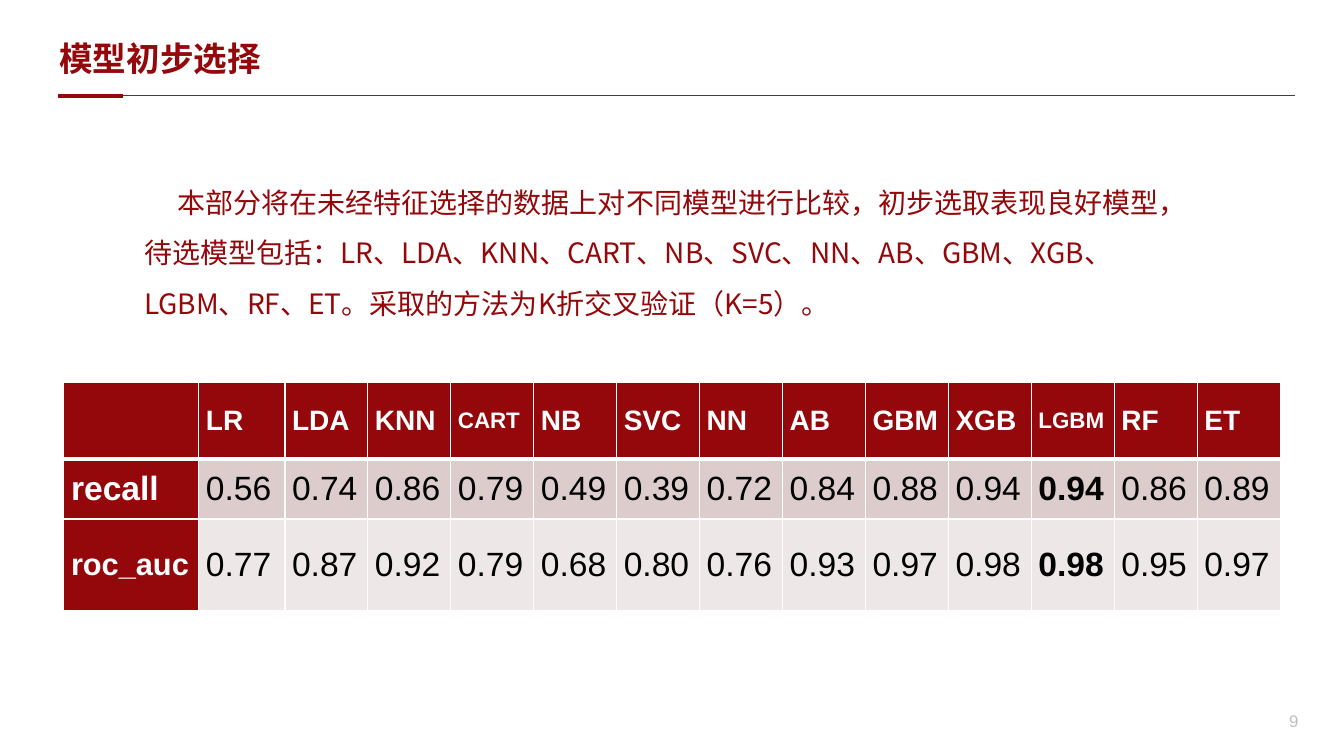
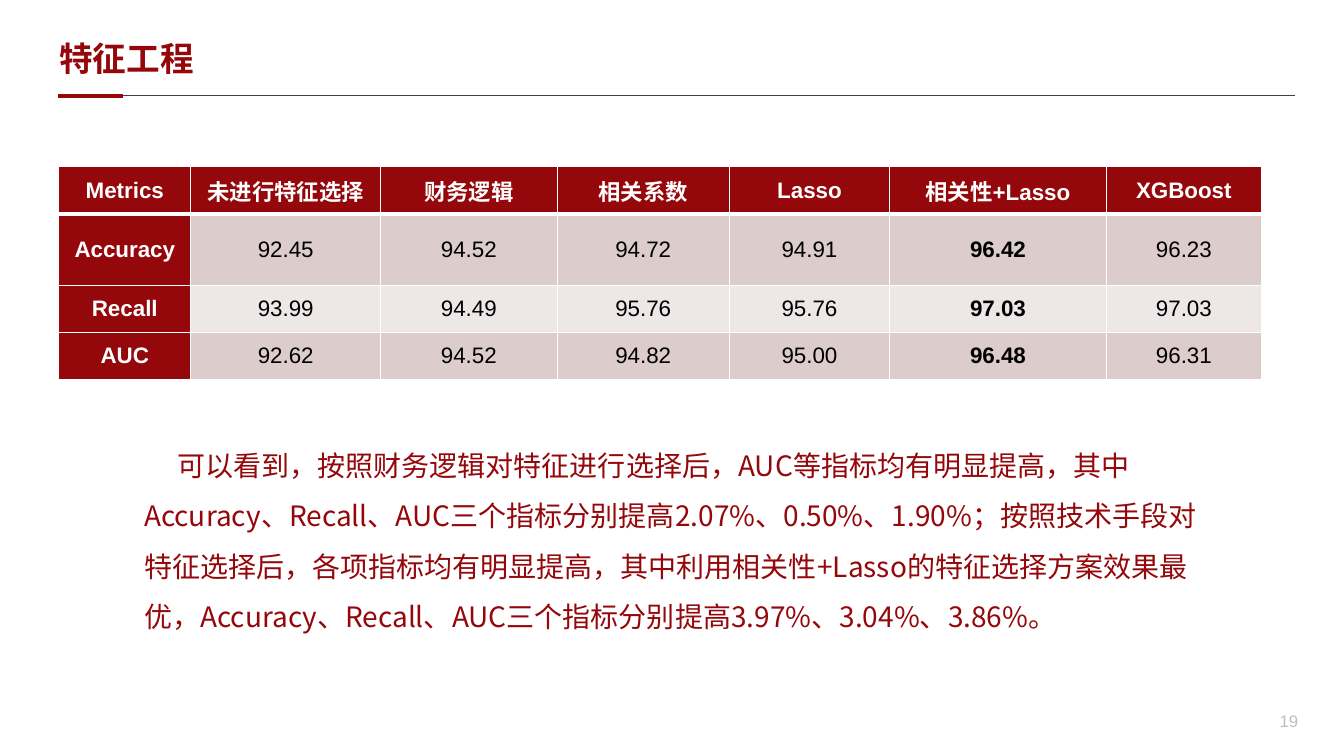
from lxml import etree
from pptx import Presentation
from pptx import util as u
from pptx.dml.color import RGBColor
from pptx.enum import shapes, text
from pptx.oxml.ns import qn

HUES = {
    "red": "94070A",
    "rule": "404040",
    "page": "BFBFBF",
    "white": "FFFFFF",
    "black": "000000",
    "dark": "DCCCCC",
    "light": "EEE7E7",
}
SANS, HAN = "Arial", "Noto Sans CJK SC"
ALIGN, ANCHOR = text.PP_ALIGN, text.MSO_ANCHOR


def hue(name):
    return RGBColor.from_string(HUES[name])


def box(*sizes):
    return [u.Cm(size) for size in sizes]


class Deck:
    """Holds the shared style and the slide being built."""

    def __init__(self):
        self.prs = Presentation()
        self.prs.slide_width, self.prs.slide_height = box(33.87, 19.05)
        self.slide = None

    def start(self, title, page):
        self.slide = self.prs.slides.add_slide(self.prs.slide_layouts[5])
        head = self.slide.shapes.title
        head.left, head.top, head.width, head.height = box(1.24, 0.84, 12.8, 1.27)
        self.frame(head.text_frame, ANCHOR.TOP)
        self.style(head.text_frame, title, 24, "red", HAN, bold=True)
        self.line(2.06, 32.64, 2.41, "rule", 0.5)
        self.line(1.47, 3.1, 2.41, "red", 3)
        self.label(box(25.35, 17.65, 7.62, 1.02), page, 12, "page", SANS, align=ALIGN.RIGHT)

    def frame(self, frame, anchor):
        frame.word_wrap = True
        frame.auto_size = text.MSO_AUTO_SIZE.NONE
        frame.vertical_anchor = anchor

    def style(self, frame, words, size, color, face, bold=False, align=ALIGN.LEFT):
        """Fill the first paragraph and set its Latin and Chinese fonts."""
        para = frame.paragraphs[0]
        para.text = words
        para.alignment = align
        font = para.font
        font.size, font.bold, font.name = u.Pt(size), bold, face
        font.color.rgb = hue(color)
        props = para._p.pPr.find(qn("a:defRPr"))
        etree.SubElement(props, qn("a:ea"), typeface=HAN)
        return para

    def label(self, place, *args, **kinds):
        frame = self.slide.shapes.add_textbox(*place).text_frame
        self.frame(frame, ANCHOR.MIDDLE)
        return frame, self.style(frame, *args, **kinds)

    def body(self, top, height, words):
        frame, para = self.label(box(3.38, top, 27.13, height), words, 20, "red", HAN)
        frame.auto_size = text.MSO_AUTO_SIZE.SHAPE_TO_FIT_TEXT
        para.line_spacing = 1.5
        para._p.pPr.set("indent", str(u.Cm(0.84)))

    def line(self, left, right, y, color, width):
        rule = self.slide.shapes.add_connector(
            shapes.MSO_CONNECTOR.STRAIGHT, *box(left, y, right, y))
        rule.line.color.rgb = hue(color)
        rule.line.width = u.Pt(width)
        etree.SubElement(rule._element.spPr, qn("a:effectLst"))

    def edge(self, cell, widths):
        """Draw white borders; widths in points go left, right, top, bottom."""
        props = cell._tc.get_or_add_tcPr()
        for spot, (side, width) in enumerate(zip("LRTB", widths)):
            line = etree.Element(qn("a:ln" + side), w=str(u.Pt(width)))
            fill = etree.SubElement(line, qn("a:solidFill"))
            etree.SubElement(fill, qn("a:srgbClr"), val=HUES["white"])
            props.insert(spot, line)

    def table(self, left, top, cols, rows, data, best, align, sizes, odd=None):
        """Sizes are for header and other rows; odd maps a text to its own size."""
        grid = self.slide.shapes.add_table(
            len(rows), len(cols), *box(left, top, sum(cols), sum(rows))).table
        grid.first_row = grid.horz_banding = False
        for col, width in zip(grid.columns, cols):
            col.width = u.Cm(width)
        for r, (row, height) in enumerate(zip(grid.rows, rows)):
            row.height = u.Cm(height)
            for c, (cell, words) in enumerate(zip(row.cells, data[r])):
                head = r == 0 or c == 0
                cell.margin_left = cell.margin_right = u.Cm(0.18)
                cell.margin_top = cell.margin_bottom = 0
                cell.vertical_anchor = ANCHOR.MIDDLE
                cell.fill.solid()
                cell.fill.fore_color.rgb = hue(
                    "red" if head else "dark" if r % 2 else "light")
                self.edge(cell, (1, 1, 3 if r == 1 else 1, 3 if r == 0 else 1))
                size = (odd or {}).get(words, sizes[r > 0])
                self.style(cell.text_frame, words, size, "white" if head else "black",
                           SANS, head or c == best, align)


def main():
    deck = Deck()

    deck.start("模型初步选择", "9")
    deck.body(4.17, 3.96, "本部分将在未经特征选择的数据上对不同模型进行比较，初步选取表现良好模型，"
              "待选模型包括：LR、LDA、KNN、CART、NB、SVC、NN、AB、GBM、XGB、LGBM、RF、ET。"
              "采取的方法为K折交叉验证（K=5）。")
    scores = [
        ["", "LR", "LDA", "KNN", "CART", "NB", "SVC", "NN", "AB", "GBM", "XGB",
         "LGBM", "RF", "ET"],
        ["recall", "0.56", "0.74", "0.86", "0.79", "0.49", "0.39", "0.72", "0.84",
         "0.88", "0.94", "0.94", "0.86", "0.89"],
        ["roc_auc", "0.77", "0.87", "0.92", "0.79", "0.68", "0.80", "0.76", "0.93",
         "0.97", "0.98", "0.98", "0.95", "0.97"],
    ]
    deck.table(1.61, 9.63, [3.4, 2.17] + [2.09] * 12, [1.93, 1.52, 2.31], scores,
               best=11, align=ALIGN.JUSTIFY, sizes=(20, 24),
               odd={"CART": 16, "LGBM": 16, "roc_auc": 22})

    deck.start("特征工程", "19")
    gains = [
        ["Metrics", "未进行特征选择", "财务逻辑", "相关系数", "Lasso", "相关性+Lasso", "XGBoost"],
        ["Accuracy", "92.45", "94.52", "94.72", "94.91", "96.42", "96.23"],
        ["Recall", "93.99", "94.49", "95.76", "95.76", "97.03", "97.03"],
        ["AUC", "92.62", "94.52", "94.82", "95.00", "96.48", "96.31"],
    ]
    deck.table(1.48, 4.2, [3.33, 4.78, 4.45, 4.34, 4.04, 5.46, 3.91],
               [1.19, 1.8, 1.19, 1.19], gains,
               best=5, align=ALIGN.CENTER, sizes=(16, 16))
    deck.body(10.8, 5.23, "可以看到，按照财务逻辑对特征进行选择后，AUC等指标均有明显提高，"
              "其中Accuracy、Recall、AUC三个指标分别提高2.07%、0.50%、1.90%；"
              "按照技术手段对特征选择后，各项指标均有明显提高，其中利用相关性+Lasso的特征选择方案效果最优，"
              "Accuracy、Recall、AUC三个指标分别提高3.97%、3.04%、3.86%。")

    deck.prs.save("out.pptx")


if __name__ == "__main__":
    main()
